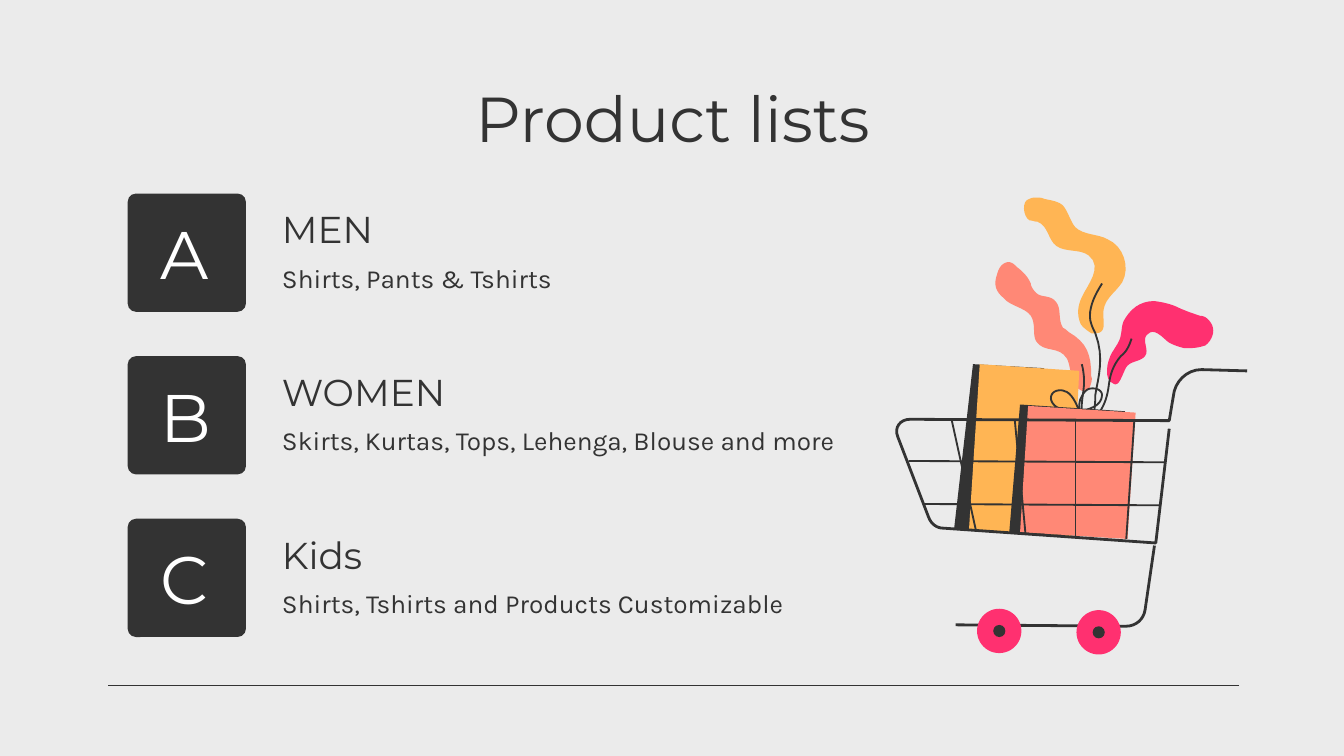
from dataclasses import dataclass
from typing import Optional

import pptx
import pptx.dml.color
import pptx.enum.shapes
import pptx.enum.text
import pptx.oxml
import pptx.oxml.ns
import pptx.util

RGBColor = pptx.dml.color.RGBColor
Align = pptx.enum.text.PP_ALIGN
Anchor = pptx.enum.text.MSO_ANCHOR
Preset = pptx.enum.shapes.MSO_SHAPE

PX = 9144  # EMU in one px, 100 px to the inch
SLIDE_WIDTH = 1000 * PX
SLIDE_HEIGHT = SLIDE_WIDTH * 9 // 16
CURVE_STEPS = 8

BACKGROUND = RGBColor(0xEB, 0xEB, 0xEB)
DARK = RGBColor(0x33, 0x33, 0x33)
WHITE = RGBColor(0xFF, 0xFF, 0xFF)
CORAL = RGBColor(0xFF, 0x88, 0x76)
YELLOW = RGBColor(0xFF, 0xB5, 0x54)
PINK = RGBColor(0xFF, 0x30, 0x70)

HEADING_FONT = "Montserrat"
BODY_FONT = "Karla"


@dataclass(frozen=True)
class Product:
    letter: str
    name: str
    items: str


@dataclass(frozen=True)
class Outline:
    """Segments of 2 numbers are straight, segments of 6 are cubic curves."""
    start: tuple[int, int]
    segments: tuple[tuple[int, ...], ...]
    fill: Optional[RGBColor] = None
    stroke: float = 0


@dataclass(frozen=True)
class Wire:
    start: tuple[int, int]
    end: tuple[int, int]
    width: float = 1


PRODUCTS = (
    Product(" A", "MEN", "Shirts, Pants & Tshirts"),
    Product(" B", "WOMEN", "Skirts, Kurtas, Tops, Lehenga, Blouse and more"),
    Product(" C", "Kids", "Shirts, Tshirts and Products Customizable"),
)
FIRST_ROW_TOP = 144
ROW_PITCH = 121

CORAL_LEAF = Outline((750, 195), (
    (753, 195, 755, 197, 757, 199), (761, 202, 765, 206, 767, 211),
    (767, 213, 769, 216, 771, 218), (775, 222, 782, 219, 786, 225),
    (790, 230, 787, 238, 791, 244), (793, 245, 794, 246, 795, 247),
    (809, 255, 812, 264, 812, 280), (813, 282, 812, 285, 811, 288),
    (810, 290, 808, 291, 806, 291), (805, 291, 803, 290, 801, 288),
    (800, 286, 798, 283, 798, 281), (796, 276, 796, 271, 794, 267),
    (788, 257, 777, 263, 771, 254), (768, 249, 771, 241, 767, 235),
    (763, 229, 752, 228, 747, 222), (741, 217, 739, 212, 742, 204),
    (743, 200, 745, 196, 750, 195)), CORAL)
YELLOW_LEAF = Outline((771, 147), (
    (773, 147, 775, 147, 777, 148), (782, 149, 788, 150, 791, 153),
    (795, 158, 796, 164, 800, 169), (806, 175, 817, 174, 824, 178),
    (836, 183, 841, 199, 835, 210), (829, 219, 820, 223, 821, 235),
    (821, 241, 823, 248, 815, 248), (814, 248, 813, 248, 812, 248),
    (809, 246, 806, 244, 804, 241), (801, 234, 802, 227, 805, 221),
    (809, 212, 821, 199, 810, 190), (803, 185, 793, 188, 786, 183),
    (780, 179, 780, 168, 772, 165), (770, 165, 768, 164, 766, 164),
    (761, 161, 760, 149, 766, 148), (768, 147, 769, 147, 771, 147)), YELLOW)
PINK_LEAF = Outline((859, 224), (
    (866, 225, 870, 226, 875, 228), (881, 231, 887, 233, 893, 235),
    (897, 235, 900, 238, 902, 242), (904, 247, 902, 253, 897, 257),
    (894, 258, 890, 259, 886, 259), (884, 259, 883, 259, 881, 259),
    (877, 258, 874, 257, 870, 255), (867, 253, 862, 247, 858, 247),
    (857, 247, 856, 247, 855, 248), (849, 251, 854, 258, 853, 263),
    (851, 269, 843, 268, 839, 272), (836, 275, 834, 286, 830, 286),
    (829, 286, 828, 285, 826, 284), (821, 278, 825, 265, 829, 260),
    (830, 258, 831, 257, 832, 255), (835, 250, 834, 244, 836, 239),
    (841, 230, 848, 224, 859, 224)), PINK)
CORAL_STEM = Outline((805, 271), (
    (807, 279, 807, 285, 806, 292), (804, 305, 804, 316, 808, 326)), stroke=1)
YELLOW_STEM = Outline((820, 211), (
    (815, 219, 811, 227, 811, 235), (811, 240, 813, 244, 815, 248),
    (822, 267, 817, 281, 815, 294), (815, 306, 813, 316, 808, 324)), stroke=1)
PINK_STEM = Outline((842, 252), (
    (840, 258, 838, 262, 834, 265), (828, 272, 826, 279, 825, 287),
    (824, 295, 822, 301, 818, 307), (814, 312, 812, 317, 812, 322)), stroke=1)
YELLOW_BOX_SIDE = Outline((724, 271), ((777, 274), (775, 397), (721, 394), (710, 393)), DARK)
YELLOW_BOX = Outline((729, 271), ((803, 276), (797, 399), (721, 394)), YELLOW)
BOW_LEFT = Outline((803, 306), (
    (796, 307, 790, 306, 785, 302), (782, 299, 781, 296, 783, 293),
    (785, 290, 790, 290, 792, 291), (797, 292, 801, 300, 803, 306)), stroke=1)
BOW_RIGHT = Outline((803, 306), (
    (803, 301, 803, 298, 805, 295), (807, 291, 809, 289, 813, 289),
    (817, 289, 820, 291, 820, 294), (820, 302, 810, 305, 803, 306)), stroke=1)
CORAL_BOX_SIDE = Outline((759, 301), ((837, 306), (831, 400), (751, 396)), DARK)
CORAL_BOX = Outline((765, 302), ((845, 307), (839, 401), (759, 396)), CORAL)
BASKET = Outline((928, 276), (
    (894, 275), (883, 275, 874, 284, 873, 295), (870, 313), (677, 312),
    (670, 312, 665, 318, 668, 325), (691, 385),
    (693, 390, 697, 393, 702, 393), (860, 404), (870, 319)), stroke=1.5)
UNDERCARRIAGE = Outline((859, 406), (
    (852, 454), (851, 461, 845, 466, 838, 466), (711, 465)), stroke=1.5)

ARTWORK = (
    CORAL_LEAF, CORAL_STEM, YELLOW_LEAF, YELLOW_STEM, PINK_LEAF, PINK_STEM,
    YELLOW_BOX_SIDE, YELLOW_BOX, BOW_LEFT, BOW_RIGHT, CORAL_BOX_SIDE,
    CORAL_BOX, BASKET, UNDERCARRIAGE,
)
WIRES = (
    Wire((708, 312), (726, 394)), Wire((755, 312), (763, 397)),
    Wire((800, 313), (800, 399), 0.5), Wire((844, 313), (838, 401)),
    Wire((687, 375), (863, 376)), Wire((676, 343), (867, 344)),
)
WHEEL_CORNERS = ((801, 454), (727, 453))
WHEEL_SIZE, HUB_SIZE = 33, 9


def write_text(shape, text: str, *, size: int, font: str = HEADING_FONT,
               color: RGBColor = DARK, align=Align.LEFT, anchor=Anchor.TOP) -> None:
    frame = shape.text_frame
    frame.word_wrap = True
    frame.vertical_anchor = anchor
    frame.margin_left = frame.margin_right = 10 * PX
    frame.margin_top = frame.margin_bottom = 10 * PX
    paragraph = frame.paragraphs[0]
    paragraph.alignment = align
    run = paragraph.add_run()
    run.text = text
    run.font.size = pptx.util.Pt(size)
    run.font.name = font
    run.font.color.rgb = color


def add_text(slide, box: tuple[int, int, int, int], text: str, **text_format) -> None:
    shape = slide.shapes.add_textbox(*(value * PX for value in box))
    write_text(shape, text, **text_format)


def add_filled(slide, preset, box: tuple[int, int, int, int], color: RGBColor):
    shape = slide.shapes.add_shape(preset, *(value * PX for value in box))
    shape.shadow.inherit = False
    shape.fill.solid()
    shape.fill.fore_color.rgb = color
    shape.line.fill.background()
    return shape


def add_wire(slide, wire: Wire) -> None:
    connector = slide.shapes.add_connector(
        pptx.enum.shapes.MSO_CONNECTOR.STRAIGHT,
        *(value * PX for value in wire.start + wire.end))
    connector.line.color.rgb = DARK
    connector.line.width = pptx.util.Pt(wire.width)
    properties = connector._element.spPr
    properties.append(pptx.oxml.parse_xml(
        f'<a:effectLst {pptx.oxml.ns.nsdecls("a")}/>'))


def trace(outline: Outline) -> list[tuple[float, float]]:
    """Turn the segments into points in px, sampling each cubic curve."""
    points = [outline.start]
    for segment in outline.segments:
        if len(segment) == 2:
            points.append(segment)
            continue
        x0, y0 = points[-1]
        x1, y1, x2, y2, x3, y3 = segment
        for step in range(1, CURVE_STEPS + 1):
            t = step / CURVE_STEPS
            a, b, c, d = (1 - t) ** 3, 3 * t * (1 - t) ** 2, 3 * t * t * (1 - t), t ** 3
            points.append((a * x0 + b * x1 + c * x2 + d * x3,
                           a * y0 + b * y1 + c * y2 + d * y3))
    return points


def add_outline(slide, outline: Outline) -> None:
    first, *others = [(round(x * PX), round(y * PX)) for x, y in trace(outline)]
    builder = slide.shapes.build_freeform(*first)
    builder.add_line_segments(others, close=outline.fill is not None)
    shape = builder.convert_to_shape()
    shape.shadow.inherit = False
    if outline.fill is not None:
        shape.fill.solid()
        shape.fill.fore_color.rgb = outline.fill
        shape.line.fill.background()
    else:
        shape.fill.background()
        shape.line.color.rgb = DARK
        shape.line.width = pptx.util.Pt(outline.stroke)


def add_product(slide, product: Product, top: int) -> None:
    tile = add_filled(slide, Preset.ROUNDED_RECTANGLE, (95, top, 88, 88), DARK)
    tile.adjustments[0] = 0.07
    write_text(tile, product.letter, size=36, color=WHITE, anchor=Anchor.MIDDLE)
    add_text(slide, (200, top + 3, 437, 50), product.name, size=20, anchor=Anchor.BOTTOM)
    add_text(slide, (200, top + 41, 437, 38), product.items, size=14, font=BODY_FONT)


def add_cart(slide) -> None:
    for outline in ARTWORK:
        add_outline(slide, outline)
    for wire in WIRES:
        add_wire(slide, wire)
    inset = (WHEEL_SIZE - HUB_SIZE) // 2
    for left, top in WHEEL_CORNERS:
        add_filled(slide, Preset.OVAL, (left, top, WHEEL_SIZE, WHEEL_SIZE), PINK)
        add_filled(slide, Preset.OVAL, (left + inset, top + inset, HUB_SIZE, HUB_SIZE), DARK)


def main() -> None:
    presentation = pptx.Presentation()
    presentation.slide_width, presentation.slide_height = SLIDE_WIDTH, SLIDE_HEIGHT
    slide = presentation.slides.add_slide(presentation.slide_layouts[6])
    slide.background.fill.solid()
    slide.background.fill.fore_color.rgb = BACKGROUND
    add_wire(slide, Wire((922, 510), (80, 510), 0.75))
    add_text(slide, (79, 49, 843, 63), "Product lists", size=34, align=Align.CENTER)
    for row, product in enumerate(PRODUCTS):
        add_product(slide, product, FIRST_ROW_TOP + row * ROW_PITCH)
    add_cart(slide)
    presentation.save("out.pptx")


if __name__ == "__main__":
    main()
